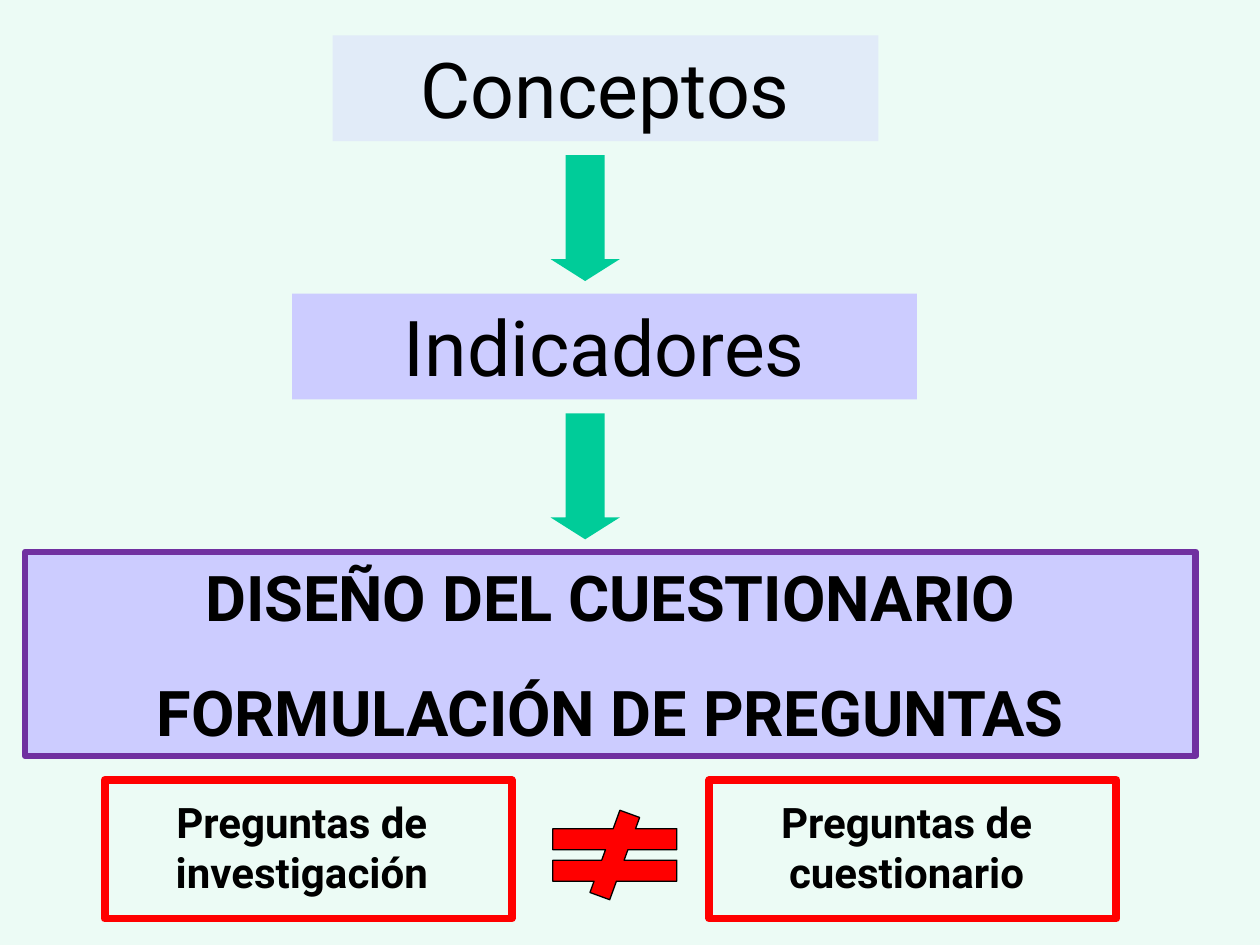
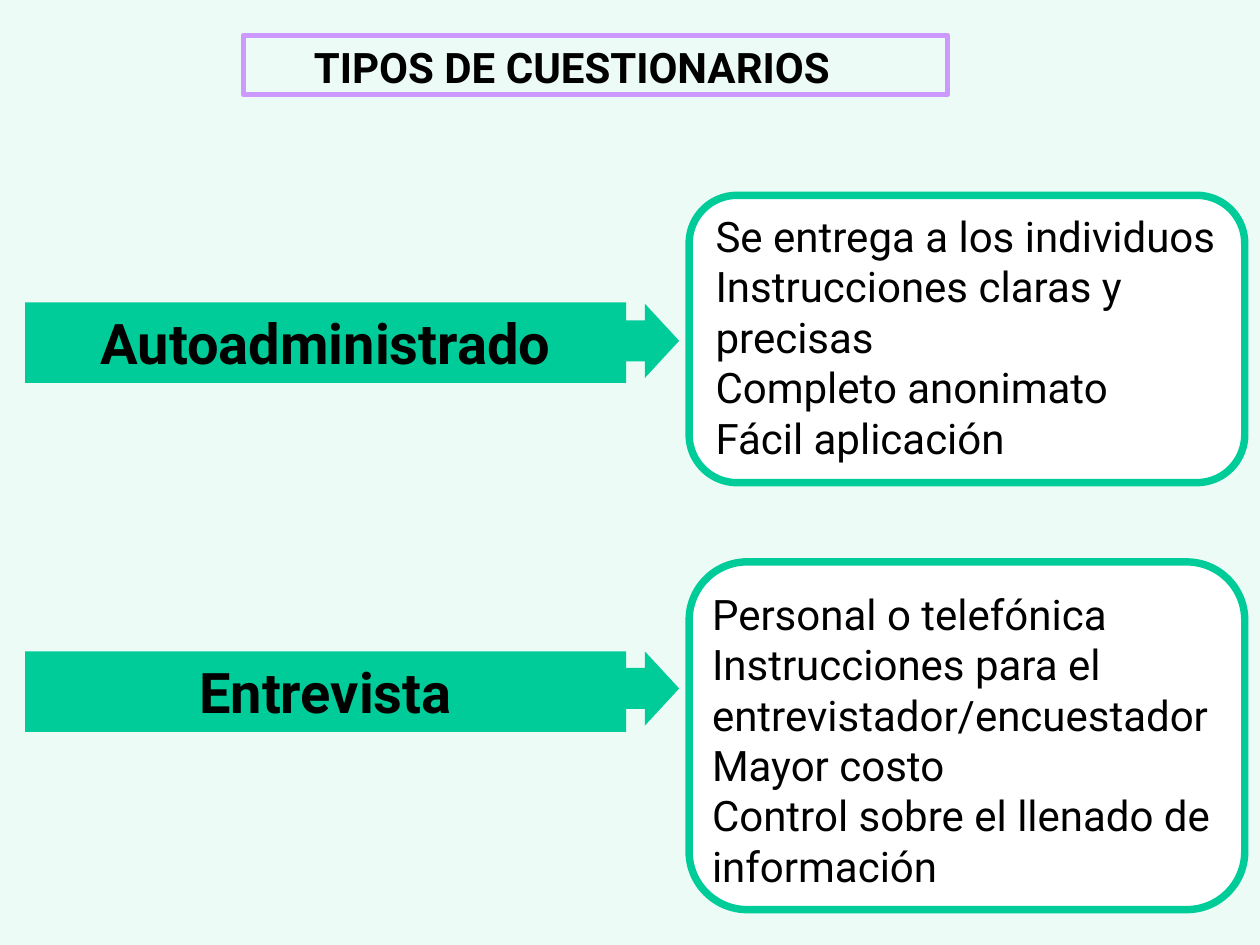
from pptx import Presentation
from pptx.dml.color import RGBColor
from pptx.enum.shapes import MSO_SHAPE
from pptx.enum.text import MSO_ANCHOR, MSO_AUTO_SIZE, PP_ALIGN
from pptx.util import Pt

RECT = MSO_SHAPE.RECTANGLE
ROUNDED = MSO_SHAPE.ROUNDED_RECTANGLE
DOWN = MSO_SHAPE.DOWN_ARROW
RIGHT = MSO_SHAPE.RIGHT_ARROW
NOT_EQUAL = MSO_SHAPE.MATH_NOT_EQUAL
LEFT_ALIGN, CENTER = PP_ALIGN.LEFT, PP_ALIGN.CENTER

FONT = "Roboto"
COLORS = {
    "background": "ECFBF5",
    "pale": "E1EBF8",
    "lavender": "CCCCFF",
    "purple": "7030A0",
    "lilac": "CC99FF",
    "green": "00CC99",
    "red": "FF0000",
    "white": "FFFFFF",
    "black": "000000",
}
INSETS = (7.2, 3.6, 7.2, 3.6)  # left, top, right, bottom

# Slide 1: text, left, width, fill
CHAIN = [
    ("Conceptos", 190, 312, "pale"),
    ("Indicadores", 167, 357, "lavender"),
]
CHAIN_TOP, CHAIN_STEP, CHAIN_HEIGHT = 20.2, 147.6, 60.5
DESIGN = ["DISEÑO DEL CUESTIONARIO", "FORMULACIÓN DE PREGUNTAS"]
QUESTIONS = ["Preguntas de investigación", "Preguntas de cuestionario"]

# Slide 2
TITLE = "TIPOS DE CUESTIONARIOS"
TYPES = [
    {
        "name": "Autoadministrado",
        "bar_top": 172.8,
        "arrow_top": 173.5,
        "card": (111.6, 164.2),
        "insets": (7.2, 0.7, 0, 0),
        "traits": [
            "Se entrega a los individuos",
            "Instrucciones claras y precisas",
            "Completo anonimato",
            "Fácil aplicación",
        ],
    },
    {
        "name": "Entrevista",
        "bar_top": 372.2,
        "arrow_top": 372.2,
        "card": (321.1, 198.7),
        "insets": (3.4, 5.4, 0, 0),
        "traits": [
            "Personal o telefónica",
            "Instrucciones para el entrevistador/encuestador",
            "Mayor costo",
            "Control sobre el llenado de información",
        ],
    },
]


def color(name):
    return RGBColor.from_string(COLORS[name])


def add_box(page, kind, area, fill=None, line=None, width=0, adjust=()):
    box = page.shapes.add_shape(kind, *map(Pt, area))
    box.shadow.inherit = False
    for index, value in enumerate(adjust):
        box.adjustments[index] = value
    if fill:
        box.fill.solid()
        box.fill.fore_color.rgb = color(fill)
    else:
        box.fill.background()
    style_line(box, line, width)
    return box


def style_line(box, line, width):
    if line:
        box.line.color.rgb = color(line)
        box.line.width = Pt(width)
    else:
        box.line.fill.background()


def write(box, lines, size, bold=False, align=CENTER, gap=0, insets=INSETS):
    """Fill a box with one paragraph per line, starting at its top."""
    frame = box.text_frame
    frame.word_wrap = True
    frame.auto_size = MSO_AUTO_SIZE.NONE
    frame.vertical_anchor = MSO_ANCHOR.TOP
    (frame.margin_left, frame.margin_top,
     frame.margin_right, frame.margin_bottom) = map(Pt, insets)
    for index, line in enumerate(lines):
        para = frame.paragraphs[0] if index == 0 else frame.add_paragraph()
        para.text = line
        para.alignment = align
        para.line_spacing = 1.0
        para.space_before = Pt(gap if index else 0)
        para.font.name = FONT
        para.font.size = Pt(size)
        para.font.bold = bold
        para.font.color.rgb = color("black")


def build_design_page(deck):
    page = deck.slides.add_slide(deck.slide_layouts[6])
    for step, (text, left, width, fill) in enumerate(CHAIN):
        top = CHAIN_TOP + step * CHAIN_STEP
        concept = add_box(page, RECT, (left, top, width, CHAIN_HEIGHT), fill)
        write(concept, [text], 44)
        arrow_top = top + CHAIN_HEIGHT + 7.9
        add_box(page, DOWN, (314.6, arrow_top, 39.6, 72), "green",
                adjust=(0.561, 0.316))

    design = add_box(page, RECT, (14.4, 315.4, 668.9, 116.6),
                     "lavender", "purple", 3.75)
    write(design, DESIGN, 36, bold=True, gap=22.5)

    for index, text in enumerate(QUESTIONS):
        area = (59.8 + index * 345.6, 445.7, 232.6, 79.2)
        question = add_box(page, RECT, area, line="red", width=4.5)
        write(question, [text], 24, bold=True, insets=(7.2, 9.4, 14.4, 3.6))
    add_box(page, NOT_EQUAL, (303.1, 463, 96.5, 51.1), "red", "black", 0.75)


def build_types_page(deck):
    page = deck.slides.add_slide(deck.slide_layouts[5])
    title = page.shapes.title
    title.left, title.top, title.width, title.height = map(
        Pt, (139, 20.2, 402.5, 33.8))
    style_line(title, "lilac", 3)
    write(title, [TITLE], 24, bold=True, align=LEFT_ALIGN,
          insets=(40.3, 3.6, 0, 0))

    for kind in TYPES:
        top, height = kind["card"]
        card = add_box(page, ROUNDED, (393.8, top, 317.5, height),
                       "white", "green", 4.25, (0.167,))
        write(card, kind["traits"], 24, align=LEFT_ALIGN,
              insets=kind["insets"])
        bar = add_box(page, RECT, (14.4, kind["bar_top"], 343.4, 46), "green")
        write(bar, [kind["name"]], 32, bold=True)
        add_box(page, RIGHT, (342.7, kind["arrow_top"], 45.4, 42.5), "green",
                adjust=(0.551, 0.461))


def main():
    deck = Presentation()
    deck.slide_width, deck.slide_height = Pt(720), Pt(540)
    backdrop = deck.slide_master.background.fill
    backdrop.solid()
    backdrop.fore_color.rgb = color("background")
    build_design_page(deck)
    build_types_page(deck)
    deck.save("out.pptx")


if __name__ == "__main__":
    main()
